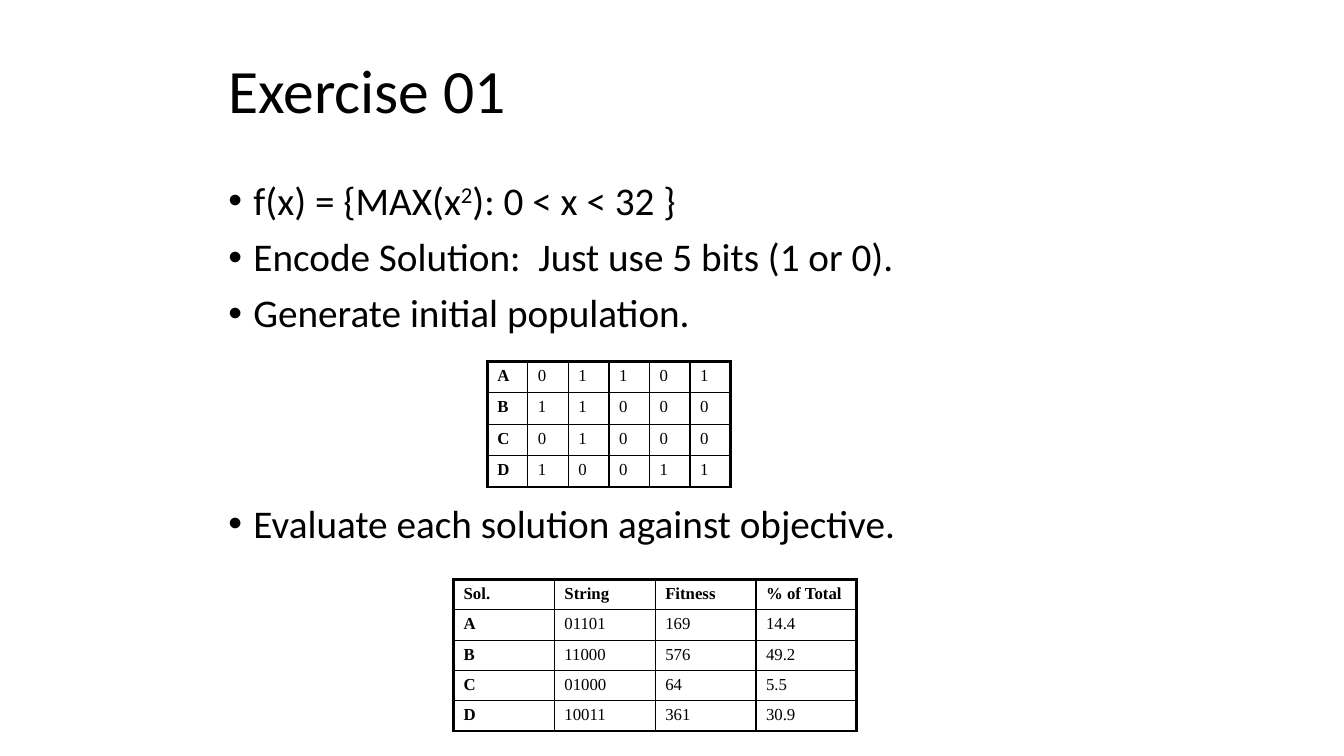
import lxml.etree
import pptx
import pptx.dml.color
import pptx.enum.text
import pptx.oxml.ns
import pptx.util

BLACK = pptx.dml.color.RGBColor(0, 0, 0)
COLUMNS, ROWS = 160, 90
THIN, THICK = 1, 2.25


def add_xml(parent, tag, **attributes):
    return lxml.etree.SubElement(parent, pptx.oxml.ns.qn(tag), attributes)


class SlideBuilder:
    """Places styled elements on a grid of 160 columns by 90 rows."""

    body_font = "Calibri"
    table_font = "Times New Roman"

    def __init__(self, prs):
        self.s = prs.slides.add_slide(prs.slide_layouts[6])
        self.column = prs.slide_width / COLUMNS
        self.row = prs.slide_height / ROWS

    def box(self, left, top, width, height):
        return (round(left * self.column), round(top * self.row),
                round(width * self.column), round(height * self.row))

    def style(self, p, name, size, bold=False):
        p.font.name = name
        p.font.size = pptx.util.Pt(size)
        p.font.bold = bold
        p.font.color.rgb = BLACK

    def text_frame(self, area, anchor):
        tf = self.s.shapes.add_textbox(*self.box(*area)).text_frame
        tf.word_wrap = True
        tf.vertical_anchor = anchor
        return tf

    def title(self, text, area):
        tf = self.text_frame(area, pptx.enum.text.MSO_ANCHOR.MIDDLE)
        p = tf.paragraphs[0]
        p.text = text
        p.line_spacing = 0.9
        self.style(p, self.body_font, 44)

    def bullets(self, items, area):
        """Each item is (space before, runs); odd runs are superscript."""
        tf = self.text_frame(area, pptx.enum.text.MSO_ANCHOR.TOP)
        for i, (space, runs) in enumerate(items):
            p = tf.add_paragraph() if i else tf.paragraphs[0]
            pPr = p._p.get_or_add_pPr()
            indent = pptx.util.Inches(0.25)
            pPr.set("marL", str(indent))
            pPr.set("indent", str(-indent))
            add_xml(pPr, "a:buFont", typeface="Arial")
            add_xml(pPr, "a:buChar", char="•")
            p.line_spacing = 0.9
            p.space_before = pptx.util.Pt(space)
            self.style(p, self.body_font, 28)
            for j, text in enumerate(runs):
                r = p.add_run()
                r.text = text
                if j % 2:
                    r._r.get_or_add_rPr().set("baseline", "30000")

    def border(self, cell, side, width):
        line = add_xml(cell._tc.get_or_add_tcPr(), "a:ln" + side,
                       w=str(pptx.util.Pt(width)))
        add_xml(add_xml(line, "a:solidFill"), "a:srgbClr", val=str(BLACK))

    def table(self, data, area, header=False):
        rows, cols = len(data), len(data[0])
        left, top, width, height = self.box(*area)
        table = self.s.shapes.add_table(
            rows, cols, left, top, width, height).table
        table.first_row = table.horz_banding = False
        for column in table.columns:
            column.width = round(width / cols)
        for i, values in enumerate(data):
            table.rows[i].height = round(height / rows)
            for j, value in enumerate(values):
                cell = table.cell(i, j)
                outer = {"L": j == 0, "R": j == cols - 1,
                         "T": i == 0, "B": i == rows - 1}
                for side, is_outer in outer.items():
                    self.border(cell, side, THICK if is_outer else THIN)
                cell.fill.background()
                p = cell.text_frame.paragraphs[0]
                p.text = value
                self.style(p, self.table_font, 12,
                           bold=j == 0 or (header and i == 0))


def main():
    prs = pptx.Presentation()
    prs.slide_width = pptx.util.Inches(13.33)
    prs.slide_height = pptx.util.Inches(7.5)
    slide = SlideBuilder(prs)

    # Title and steps; the last step leaves room for the population table
    slide.title("Exercise 01", (26, 3.6, 119, 15))
    slide.bullets([
        (0, ["f(x) = {MAX(x", "2", "): 0 < x < 32 }"]),
        (10, ["Encode Solution:  Just use 5 bits (1 or 0)."]),
        (10, ["Generate initial population."]),
        (120, ["Evaluate each solution against objective."]),
    ], (26, 21, 108, 59.4))

    # Fitness of each solution
    population = {"A": "01101", "B": "11000", "C": "01000", "D": "10011"}
    scores = [("169", "14.4"), ("576", "49.2"), ("64", "5.5"), ("361", "30.9")]
    fitness = [["Sol.", "String", "Fitness", "% of Total"]]
    fitness += [[*solution, *score]
                for solution, score in zip(population.items(), scores)]
    slide.table(fitness, (54, 69, 48, 18), header=True)

    # Initial population, one bit per cell
    slide.table([[name, *bits] for name, bits in population.items()],
                (58, 43, 29, 15))

    prs.save("out.pptx")


if __name__ == "__main__":
    main()
